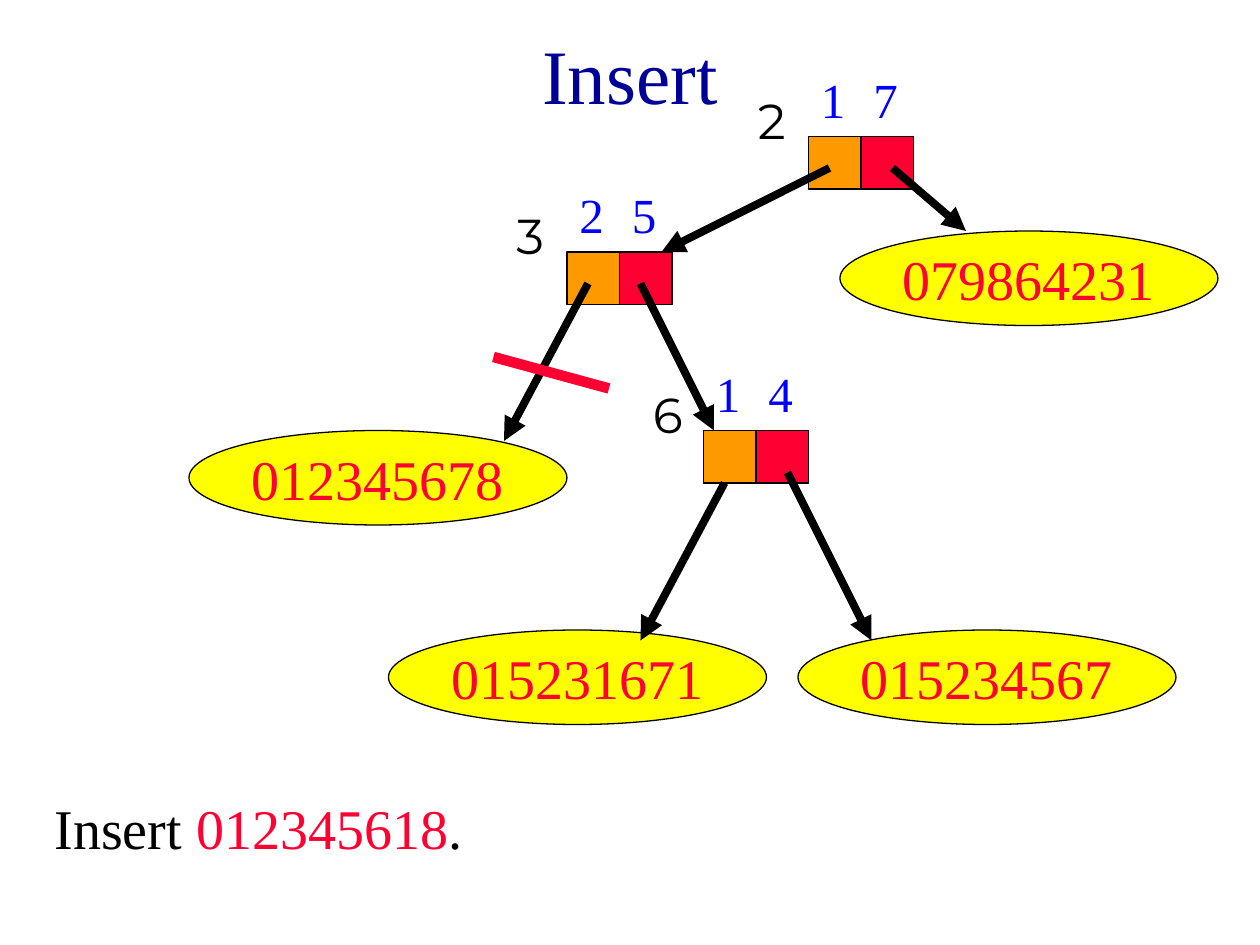
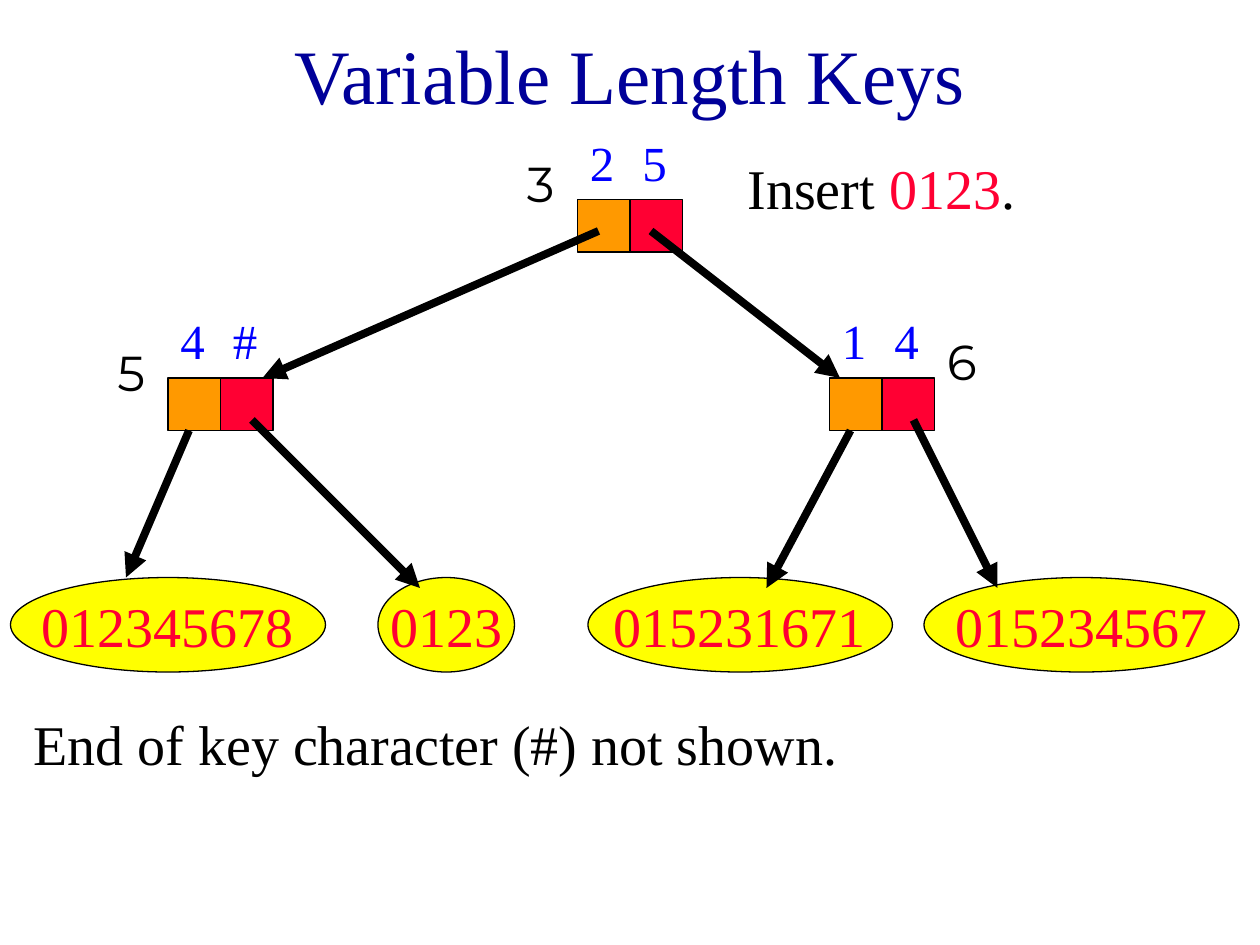
from dataclasses import dataclass

from lxml import etree
from pptx import Presentation
from pptx.dml.color import RGBColor
from pptx.enum.shapes import MSO_CONNECTOR, MSO_SHAPE
from pptx.enum.text import MSO_ANCHOR, PP_ALIGN
from pptx.oxml.ns import qn
from pptx.util import Pt

STRAIGHT = MSO_CONNECTOR.STRAIGHT
RECTANGLE, OVAL = MSO_SHAPE.RECTANGLE, MSO_SHAPE.OVAL
LEFT, CENTER = PP_ALIGN.LEFT, PP_ALIGN.CENTER
TOP, MIDDLE = MSO_ANCHOR.TOP, MSO_ANCHOR.MIDDLE


@dataclass(frozen=True)
class Theme:
    serif: str = "Times New Roman"
    sans: str = "Montserrat"
    title: str = "000099"
    ink: str = "000000"
    digit: str = "0000FF"
    key: str = "FF0033"
    left_cell: str = "FF9900"
    right_cell: str = "FF0033"
    leaf: str = "FFFF00"
    title_size: float = 44
    body_size: float = 32
    digit_size: float = 28
    outline: float = 0.75
    arrow: float = 4.5
    cut: float = 6


THEME = Theme()

Point = tuple[float, float]
Run = tuple[str, str]

CELL = 30
LABEL_HEIGHT = 41
# Starts of the left and right branches, measured from a node's corner
INNER_STARTS = ((12, 18), (42, 18))
LEAF_PARENT_STARTS = ((12, 30), (48, 24))


@dataclass(frozen=True)
class Node:
    """A branch node: tested position, its two digits and its two branch ends."""
    x: float
    y: float
    position: str
    digits: str
    ends: tuple[Point, Point]
    starts: tuple[Point, Point] = LEAF_PARENT_STARTS
    position_offset: Point = (-36, -30)


@dataclass(frozen=True)
class Leaf:
    x: float
    y: float
    key: str
    width: float = 216
    height: float = 54


@dataclass(frozen=True)
class Caption:
    x: float
    y: float
    width: float
    runs: tuple[Run, ...]


@dataclass(frozen=True)
class TreeSlide:
    title: str
    captions: tuple[Caption, ...]
    nodes: tuple[Node, ...]
    leaves: tuple[Leaf, ...]
    cuts: tuple[tuple[Point, Point], ...] = ()


def insert_runs(key: str) -> tuple[Run, ...]:
    return ("Insert ", THEME.ink), (key, THEME.key), (".", THEME.ink)


SLIDES = (
    TreeSlide(
        title="Insert",
        captions=(Caption(24, 450, 264, insert_runs("012345618")),),
        nodes=(
            Node(462, 78, "2", "17", ((378, 144), (552, 132)), ((12, 18), (48, 18))),
            Node(324, 144, "3", "25", ((288, 252), (408, 246)), INNER_STARTS),
            Node(402, 246, "6", "14", ((366, 366), (498, 366))),
        ),
        leaves=(
            Leaf(480, 132, "079864231"),
            Leaf(108, 246, "012345678"),
            Leaf(222, 360, "015231671"),
            Leaf(456, 360, "015234567"),
        ),
        cuts=(((282, 204), (348, 222)),),
    ),
    TreeSlide(
        title="Variable Length Keys",
        captions=(
            Caption(12, 402, 492, (("End of key character (#) not shown.", THEME.ink),)),
            Caption(420, 84, 264, insert_runs("0123")),
        ),
        nodes=(
            Node(330, 114, "3", "25", ((150, 216), (480, 216)), INNER_STARTS),
            Node(96, 216, "5", "4#", ((72, 330), (240, 336)), position_offset=(-36, -24)),
            Node(474, 216, "6", "14", ((438, 336), (570, 336)), position_offset=(60, -30)),
        ),
        leaves=(
            Leaf(6, 330, "012345678", 180),
            Leaf(216, 330, "0123", 78),
            Leaf(336, 330, "015231671", 174),
            Leaf(528, 330, "015234567", 180),
        ),
    ),
)


def rgb(colour: str) -> RGBColor:
    return RGBColor.from_string(colour)


def write(shape, *runs: Run, size: float = THEME.body_size, font: str = THEME.serif,
          align=LEFT, anchor=TOP, wrap: bool = True) -> None:
    """Fill a shape with one paragraph made of (text, colour) runs."""
    frame = shape.text_frame
    frame.word_wrap = wrap
    frame.vertical_anchor = anchor
    paragraph = frame.paragraphs[0]
    paragraph.alignment = align
    for text, colour in runs:
        run = paragraph.add_run()
        run.text = text
        run.font.size = Pt(size)
        run.font.name = font
        run.font.color.rgb = rgb(colour)


def add_label(slide, x: float, y: float, width: float, height: float, *runs: Run, **style) -> None:
    box = slide.shapes.add_textbox(Pt(x), Pt(y), Pt(width), Pt(height))
    write(box, *runs, **style)


def add_filled(slide, kind, x: float, y: float, width: float, height: float, fill: str):
    shape = slide.shapes.add_shape(kind, Pt(x), Pt(y), Pt(width), Pt(height))
    shape.shadow.inherit = False
    shape.fill.solid()
    shape.fill.fore_color.rgb = rgb(fill)
    shape.line.color.rgb = rgb(THEME.ink)
    shape.line.width = Pt(THEME.outline)
    return shape


def add_line(slide, start: Point, end: Point, colour: str, width: float, arrow: bool = False) -> None:
    line = slide.shapes.add_connector(STRAIGHT, *map(Pt, start + end))
    line.line.color.rgb = rgb(colour)
    line.line.width = Pt(width)
    properties = line._element.spPr
    if arrow:
        etree.SubElement(properties.find(qn("a:ln")), qn("a:tailEnd"), type="triangle")
    etree.SubElement(properties, qn("a:effectLst"))


def add_node(slide, node: Node) -> None:
    for column, (digit, fill) in enumerate(zip(node.digits, (THEME.left_cell, THEME.right_cell))):
        x = node.x + column * CELL
        add_filled(slide, RECTANGLE, x, node.y, CELL, CELL, fill)
        add_label(slide, x, node.y - 42, 25, LABEL_HEIGHT, (digit, THEME.digit), size=THEME.digit_size)
    dx, dy = node.position_offset
    add_label(slide, node.x + dx, node.y + dy, 48, LABEL_HEIGHT, (node.position, THEME.ink),
              size=THEME.digit_size, font=THEME.sans)


def add_branches(slide, node: Node) -> None:
    for (dx, dy), end in zip(node.starts, node.ends):
        add_line(slide, (node.x + dx, node.y + dy), end, THEME.ink, THEME.arrow, arrow=True)


def add_leaf(slide, leaf: Leaf) -> None:
    oval = add_filled(slide, OVAL, leaf.x, leaf.y, leaf.width, leaf.height, THEME.leaf)
    write(oval, (leaf.key, THEME.key), align=CENTER, anchor=MIDDLE, wrap=False)


def add_title(slide, text: str) -> None:
    title = slide.shapes.title
    title.left, title.top, title.width, title.height = map(Pt, (54, 12, 612, 60))
    write(title, (text, THEME.title), size=THEME.title_size, align=CENTER, anchor=MIDDLE)


def add_tree_slide(deck, content: TreeSlide) -> None:
    slide = deck.slides.add_slide(deck.slide_layouts.get_by_name("Title Only"))
    add_title(slide, content.title)
    for caption in content.captions:
        add_label(slide, caption.x, caption.y, caption.width, 54, *caption.runs)
    for node in content.nodes:
        add_node(slide, node)
    for leaf in content.leaves:
        add_leaf(slide, leaf)
    for node in content.nodes:
        add_branches(slide, node)
    for start, end in content.cuts:
        add_line(slide, start, end, THEME.key, THEME.cut)


def main() -> None:
    deck = Presentation()
    deck.slide_width, deck.slide_height = Pt(720), Pt(540)
    for content in SLIDES:
        add_tree_slide(deck, content)
    deck.save("out.pptx")


if __name__ == "__main__":
    main()
